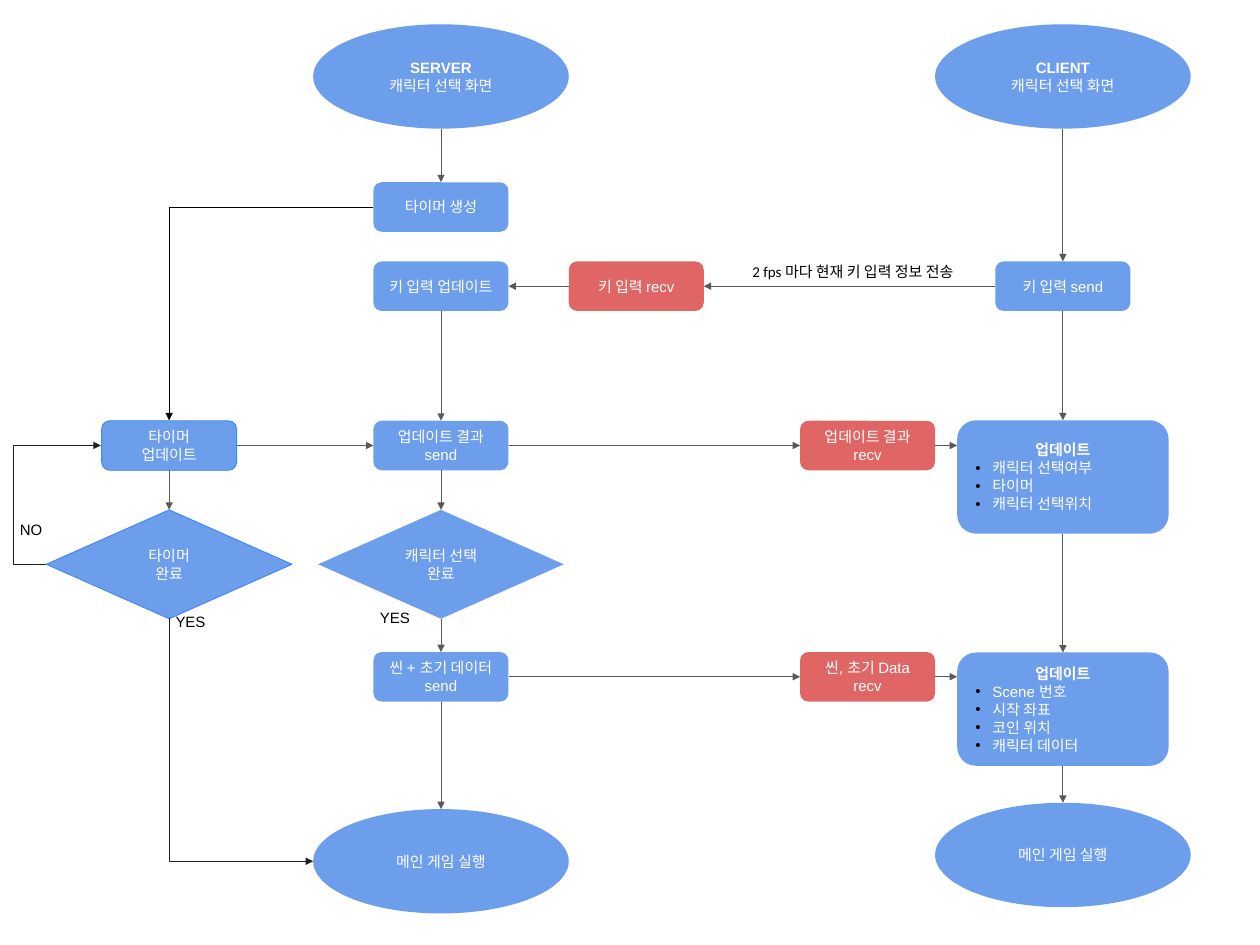
from lxml import etree
from pptx import Presentation
from pptx.dml.color import RGBColor
from pptx.enum import shapes, text
from pptx.oxml import ns
from pptx.util import Inches, Pt

COLORS = {"blue": "6D9EEB", "red": "E06666", "edge": "4285F4", "white": "FFFFFF",
          "black": "000000", "gray": "595959", "dark": "202020"}
COLUMNS = {"timer": 1.88, "server": 4.9, "receive": 7.07, "reply": 9.64, "client": 11.81}
ROWS = {"start": 0.85, "create": 2.3, "key": 3.18, "update": 4.95, "client update": 5.3,
        "decide": 6.27, "data": 7.52, "client data": 7.88, "client end": 9.5, "end": 9.57}
KINDS = {"oval": (shapes.MSO_SHAPE.OVAL, 2.84, 1.16),
         "step": (shapes.MSO_SHAPE.ROUNDED_RECTANGLE, 1.5, 0.55),
         "panel": (shapes.MSO_SHAPE.ROUNDED_RECTANGLE, 2.35, 1.26),
         "decision": (shapes.MSO_SHAPE.FLOWCHART_DECISION, 2.73, 1.21)}

presentation = Presentation()
presentation.slide_width, presentation.slide_height = Inches(14), Inches(10.5)
slide = presentation.slides.add_slide(presentation.slide_layouts[6])


def write(shape, lines, color, font="Arial", align=text.PP_ALIGN.CENTER, inset=0.14):
    frame = shape.text_frame
    frame.word_wrap = True
    frame.margin_left = frame.margin_right = Inches(0.14)
    frame.margin_top = frame.margin_bottom = Inches(inset)
    frame.text = "\n".join(lines)
    for paragraph in frame.paragraphs:
        paragraph.alignment = align
        paragraph.font.size = Pt(12)
        paragraph.font.name = font
        paragraph.font.color.rgb = RGBColor.from_string(COLORS[color])


def connect(start, end, color="gray", kind=shapes.MSO_CONNECTOR.STRAIGHT):
    connector = slide.shapes.add_connector(kind, *map(Inches, start + end))
    connector.line.color.rgb = RGBColor.from_string(COLORS[color])
    connector.line.width = Pt(0.75)
    line = connector.line._get_or_add_ln()
    etree.SubElement(line, ns.qn("a:tailEnd"), type="triangle")
    etree.SubElement(connector._element.spPr, ns.qn("a:effectLst"))
    return connector


nodes = [
    ("oval", "server", "start", ["SERVER", "캐릭터 선택 화면"]),
    ("oval", "client", "start", ["CLIENT", "캐릭터 선택 화면"]),
    ("step", "server", "create", ["타이머 생성"]),
    ("step", "server", "key", ["키 입력 업데이트"]),
    ("step", "receive", "key", ["키 입력 recv"]),
    ("step", "client", "key", ["키 입력 send"]),
    ("step", "timer", "update", ["타이머", "업데이트"]),
    ("step", "server", "update", ["업데이트 결과 send"]),
    ("step", "reply", "update", ["업데이트 결과 recv"]),
    ("panel", "client", "client update",
     ["업데이트", "캐릭터 선택여부", "타이머", "캐릭터 선택위치"]),
    ("decision", "timer", "decide", ["타이머", "완료"]),
    ("decision", "server", "decide", ["캐릭터 선택 완료"]),
    ("step", "server", "data", ["씬 + 초기 데이터 send"]),
    ("step", "reply", "data", ["씬, 초기 Data", "recv"]),
    ("panel", "client", "client data",
     ["업데이트", "Scene 번호", "시작 좌표", "코인 위치", "캐릭터 데이터"]),
    ("oval", "server", "end", ["메인 게임 실행"]),
    ("oval", "client", "client end", ["메인 게임 실행"]),
]
sizes = {}
for kind, column, row, lines in nodes:
    preset, width, height = KINDS[kind]
    sizes[column, row] = width, height
    shape = slide.shapes.add_shape(
        preset, Inches(COLUMNS[column] - width / 2), Inches(ROWS[row] - height / 2),
        Inches(width), Inches(height))
    shape.shadow.inherit = False
    shape.fill.solid()
    fill = "red" if column in ("receive", "reply") else "blue"
    shape.fill.fore_color.rgb = RGBColor.from_string(COLORS[fill])
    if column == "timer":
        shape.line.color.rgb = RGBColor.from_string(COLORS["edge"])
        shape.line.width = Pt(0.75)
    else:
        shape.line.fill.background()
    write(shape, lines, "white")
    paragraphs = shape.text_frame.paragraphs
    paragraphs[0].font.bold = kind == "panel" or row == "start"
    if kind == "panel":
        for paragraph in paragraphs[1:]:
            paragraph.alignment = text.PP_ALIGN.LEFT
            properties = paragraph._p.get_or_add_pPr()
            properties.set("marL", str(Inches(0.19)))
            properties.set("indent", str(-Inches(0.19)))
            bullet_color = etree.Element(ns.qn("a:buClr"))
            etree.SubElement(bullet_color, ns.qn("a:srgbClr"), val=COLORS["black"])
            properties.insert(0, bullet_color)
            properties.insert(1, etree.Element(ns.qn("a:buFont"), typeface="Arial"))
            properties.insert(2, etree.Element(ns.qn("a:buChar"), char="•"))

downward = {
    "server": [("start", "create"), ("key", "update"), ("update", "decide"),
               ("decide", "data"), ("data", "end")],
    "client": [("start", "key"), ("key", "client update"),
               ("client update", "client data"), ("client data", "client end")],
    "timer": [("update", "decide")],
}
for column, links in downward.items():
    for upper, lower in links:
        connect((COLUMNS[column], ROWS[upper] + sizes[column, upper][1] / 2),
                (COLUMNS[column], ROWS[lower] - sizes[column, lower][1] / 2))

sideways = [
    ("key", "client", "receive"), ("key", "receive", "server"),
    ("update", "timer", "server"), ("update", "server", "reply"),
    ("update", "reply", "client"), ("data", "server", "reply"),
    ("data", "reply", "client"),
]
for row, source, target in sideways:
    direction = 1 if COLUMNS[target] > COLUMNS[source] else -1
    target_size = sizes.get((target, row), KINDS["panel"][1:])
    connect((COLUMNS[source] + direction * sizes[source, row][0] / 2, ROWS[row]),
            (COLUMNS[target] - direction * target_size[0] / 2, ROWS[row]))

elbow = shapes.MSO_CONNECTOR.ELBOW
finish = connect((4.03, 7.42), (1.33, 9.02), "dark", elbow)
finish._element.spPr.find(ns.qn("a:xfrm")).set("rot", "16200000")
create = connect((4.15, ROWS["create"]), (COLUMNS["timer"], 4.67), "black", elbow)
for connector in (finish, create):
    connector._element.spPr.find(ns.qn("a:prstGeom")).set("prst", "bentConnector2")

repeat = connect((0.51, ROWS["decide"]), (1.12, ROWS["update"]), "dark", elbow)
guides = repeat._element.spPr.find(ns.qn("a:prstGeom")).get_or_add_avLst()
etree.SubElement(guides, ns.qn("a:gd"), name="adj1", fmla="val -59300")

labels = [
    ("YES", 4.08, 6.66, 0.99, 0.48, "Arial", 0.14),
    ("YES", 1.81, 6.71, 0.99, 0.48, "Arial", 0.14),
    ("NO", 0.08, 5.68, 0.99, 0.48, "Arial", 0.14),
    ("2 fps 마다 현재 키 입력 정보 전송", 8.22, 2.85, 2.64, 0.34, "Calibri", 0.07),
]
for label, left, top, width, height, font, inset in labels:
    box = slide.shapes.add_textbox(*map(Inches, (left, top, width, height)))
    write(box, [label], "black", font, text.PP_ALIGN.LEFT, inset)

presentation.save("out.pptx")
